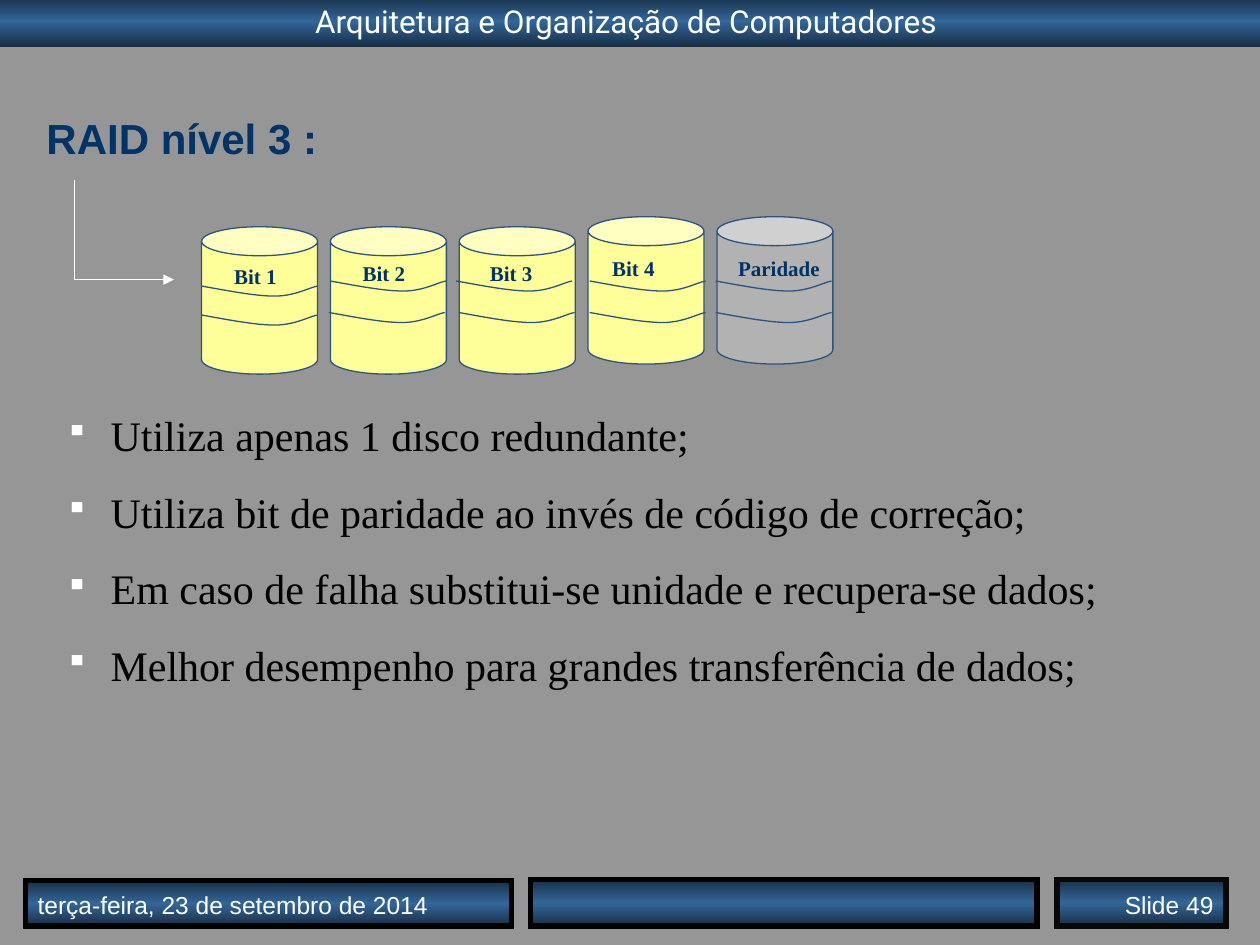
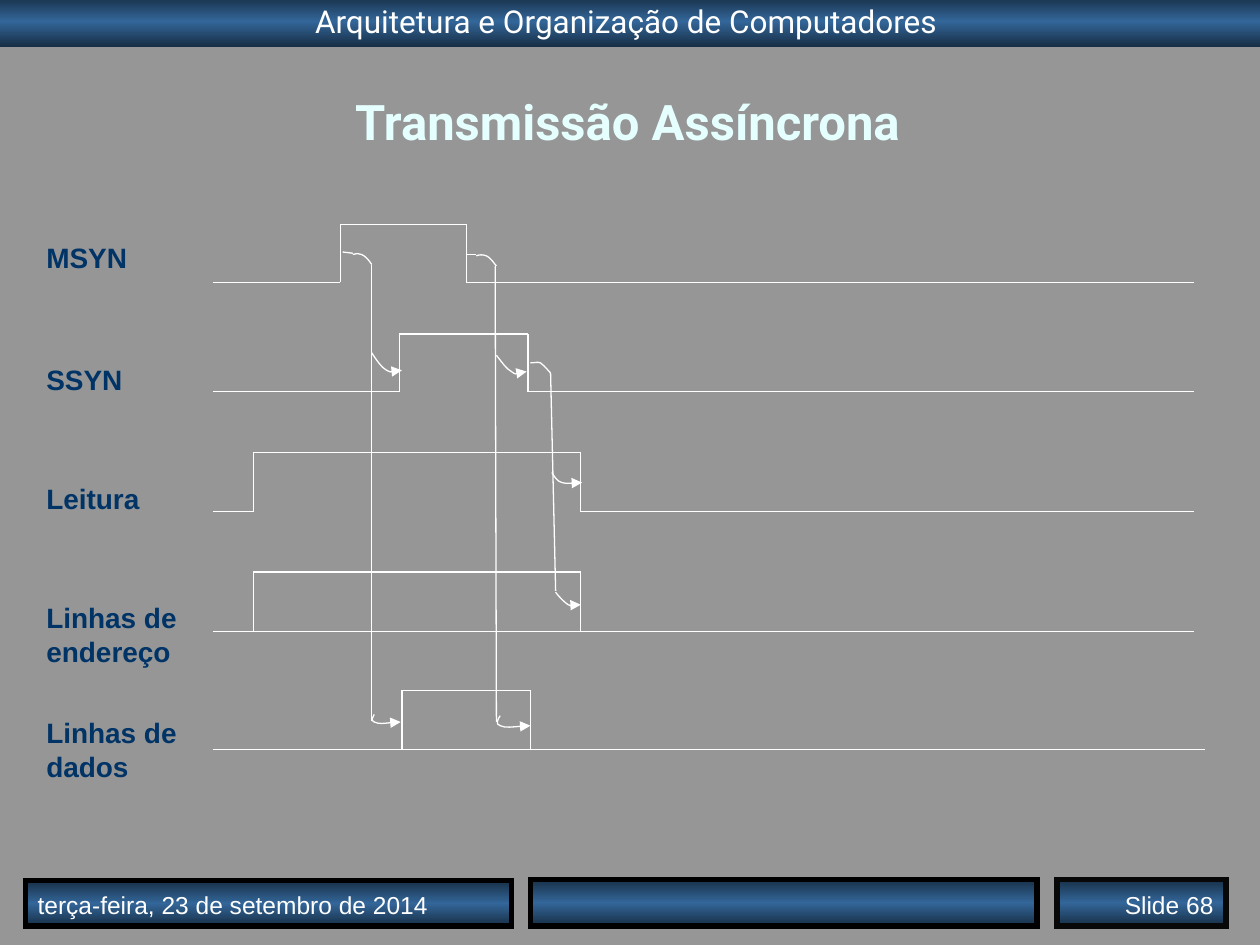
from copy import deepcopy

from lxml.etree import SubElement
from pptx import Presentation
from pptx.dml.color import RGBColor
from pptx.enum.shapes import MSO_CONNECTOR as Connector, MSO_SHAPE as Preset
from pptx.enum.text import MSO_ANCHOR as Anchor, PP_ALIGN as Align
from pptx.oxml.ns import qn
from pptx.util import Inches, Pt

# Shared style
COLORS = {
    "background": "969696", "band_edge": "172F46", "band_middle": "336699",
    "white": "FFFFFF", "black": "000000", "frame": "080808", "navy": "003366",
    "title": "E5FFFF", "disk": "FFFF99", "parity": "B2B2B2", "outline": "2B5481",
}
COURSE = "Arquitetura e Organização de Computadores"
DATE = "terça-feira, 23 de setembro de 2014"

# RAID slide: label, label left, label top, disk top, disk colour, stripe starts
RAID_TITLE = "RAID nível 3 :"
DISKS = [
    ("Bit 1", 1.76, 2.04, 1.80, "disk", [(1.60, 2.27), (1.60, 2.50)]),
    ("Bit 2", 2.78, 2.02, 1.80, "disk", [(2.62, 2.23), (2.61, 2.48)]),
    ("Bit 3", 3.79, 2.02, 1.80, "disk", [(3.62, 2.23), (3.64, 2.48)]),
    ("Bit 4", 4.76, 1.98, 1.72, "disk", [(4.68, 2.23), (4.68, 2.48)]),
    ("Paridade", 5.76, 1.98, 1.72, "parity", [(5.68, 2.23), (5.68, 2.48)]),
]
DISK_LEFT, DISK_RIGHTMOST, DISK_WIDTH, DISK_HEIGHT = 1.6, 5.69, 0.92, 1.17
STRIPE = [(0.22, 0.04), (0.43, 0.08), (0.58, 0.08),
          (0.74, 0.08), (0.86, 0.01), (0.92, 0)]
RAID_POINTS = [
    "Utiliza apenas 1 disco redundante;",
    "Utiliza bit de paridade ao invés de código de correção;",
    "Em caso de falha substitui-se unidade e recupera-se dados;",
    "Melhor desempenho para grandes transferência de dados;",
]
RAID_ARROW = [(0.59, 1.43), (0.59, 2.22), (1.38, 2.22)]

# Timing slide: label, label top, label width, high, low, rise, fall, resume, end
TIMING_TITLE = "Transmissão Assíncrona"
SIGNAL_START = 1.69
SIGNALS = [
    ("MSYN", 1.86, 0.94, 1.78, 2.24, 2.70, 3.70, 3.70, 9.48),
    ("SSYN", 2.83, 0.94, 2.65, 3.11, 3.17, 4.19, 4.19, 9.48),
    ("Leitura", 3.77, 0.94, 3.59, 4.06, 2.01, 4.61, 4.61, 9.48),
    ("Linhas de endereço", 4.72, 1.34, 4.54, 5.01, 2.01, 4.61, 2.01, 9.48),
    ("Linhas de dados", 5.63, 1.34, 5.48, 5.95, 3.19, 4.21, 3.19, 9.56),
]
CAUSE_LINES = [
    ((2.72, 2.00), (2.80, 2.01)), ((2.95, 2.10), (2.95, 5.72)),
    ((3.70, 2.02), (3.78, 2.02)), ((3.93, 2.11), (3.94, 5.73)),
    ((4.37, 2.96), (4.41, 4.69)),
]
# Start, then two Bézier pieces of control, control, end
BENDS = [
    [(2.80, 2.02), (2.82, 2.01), (2.85, 2.01), (2.87, 2.02),
     (2.90, 2.03), (2.94, 2.08), (2.95, 2.10)],
    [(3.78, 2.03), (3.81, 2.02), (3.83, 2.02), (3.86, 2.03),
     (3.89, 2.04), (3.93, 2.10), (3.94, 2.11)],
    [(4.21, 2.88), (4.24, 2.88), (4.27, 2.87), (4.29, 2.88),
     (4.32, 2.90), (4.36, 2.95), (4.37, 2.96)],
]
HOOKS = [
    [(2.95, 2.80), (2.99, 2.86), (3.03, 2.92), (3.07, 2.94),
     (3.11, 2.96), (3.17, 2.94), (3.19, 2.94)],
    [(2.97, 5.67), (2.96, 5.69), (2.94, 5.72), (2.97, 5.73),
     (3.01, 5.75), (3.14, 5.73), (3.18, 5.73)],
    [(3.94, 2.82), (3.98, 2.87), (4.02, 2.93), (4.06, 2.95),
     (4.10, 2.98), (4.16, 2.95), (4.18, 2.95)],
    [(3.97, 5.68), (3.95, 5.71), (3.93, 5.75), (3.97, 5.76),
     (4.01, 5.78), (4.17, 5.76), (4.21, 5.76)],
    [(4.38, 3.75), (4.40, 3.78), (4.42, 3.82), (4.46, 3.83),
     (4.50, 3.84), (4.59, 3.83), (4.62, 3.83)],
    [(4.41, 4.70), (4.44, 4.74), (4.48, 4.78), (4.51, 4.80),
     (4.54, 4.81), (4.59, 4.80), (4.61, 4.80)],
]


def color(name):
    return RGBColor.from_string(COLORS[name])


# Text
def add_bullet(paragraph):
    properties = paragraph._p.get_or_add_pPr()
    properties.set("marL", str(Inches(0.58)))
    properties.set("indent", str(Inches(-0.36)))
    bullet_color = SubElement(properties, qn("a:buClr"))
    SubElement(bullet_color, qn("a:srgbClr")).set("val", COLORS["white"])
    SubElement(properties, qn("a:buSzPct")).set("val", "75000")
    SubElement(properties, qn("a:buChar")).set("char", "▪")


def write(shape, text, size=14, font="Arial", ink="white", bold=False,
          align=Align.LEFT, anchor=Anchor.TOP, wrap=True, spacing=None,
          before=0, bullets=False):
    frame = shape.text_frame
    frame.word_wrap = wrap
    frame.vertical_anchor = anchor
    for index, line in enumerate([text] if isinstance(text, str) else text):
        paragraph = frame.add_paragraph() if index else frame.paragraphs[0]
        paragraph.alignment = align
        if spacing:
            paragraph.line_spacing = spacing
        if index:
            paragraph.space_before = Pt(before)
        if bullets:
            add_bullet(paragraph)
        run = paragraph.add_run()
        run.text = line
        run.font.size, run.font.name, run.font.bold = Pt(size), font, bold
        run.font.color.rgb = color(ink)


def add_text(slide, box, text, **style):
    write(slide.shapes.add_textbox(*map(Inches, box)), text, **style)


# Shapes and lines
def set_line(shape, ink, width=0.75, arrow=False):
    shape.line.color.rgb = color(ink)
    shape.line.width = Pt(width)
    line = shape._element.spPr.find(qn("a:ln"))
    SubElement(line, qn("a:miter")).set("lim", "800000")
    if arrow:
        SubElement(line, qn("a:tailEnd")).set("type", "triangle")


def add_line(shapes, start, end, arrow=False):
    connector = shapes.add_connector(
        Connector.STRAIGHT, *map(Inches, (*start, *end)))
    set_line(connector, "white", arrow=arrow)
    SubElement(connector._element.spPr, qn("a:effectLst"))


def add_curve(slide, points, ink="white", arrow=False):
    start, *rest = [tuple(map(Inches, point)) for point in points]
    builder = slide.shapes.build_freeform(*start)
    builder.add_line_segments(rest, close=False)
    curve = builder.convert_to_shape()
    # Every three straight steps become one Bézier piece
    outline = curve._element.spPr.find(".//" + qn("a:moveTo")).getparent()
    steps = outline.findall(qn("a:lnTo"))
    for first in range(0, len(steps), 3):
        piece = SubElement(outline, qn("a:cubicBezTo"))
        for step in steps[first:first + 3]:
            piece.append(step[0])
            outline.remove(step)
    curve.shadow.inherit = False
    curve.fill.background()
    set_line(curve, ink, arrow=arrow)


def add_band(slide, box, frame=None):
    band = slide.shapes.add_shape(Preset.RECTANGLE, *map(Inches, box))
    band.shadow.inherit = False
    band.fill.gradient()
    band.fill.gradient_angle = 90
    stops = band._element.spPr.find(".//" + qn("a:gsLst"))
    stops.insert(1, deepcopy(stops[0]))
    names = ("band_edge", "band_middle", "band_edge")
    for index, (stop, name) in enumerate(zip(band.fill.gradient_stops, names)):
        stop.position = index / 2
        stop.color.rgb = color(name)
    if frame:
        set_line(band, frame, 3)
    else:
        band.line.fill.background()
    return band


# Slides
def add_slide(presentation, number):
    slide = presentation.slides.add_slide(presentation.slide_layouts[6])
    header = add_band(slide, (0, -0.03, 10, 0.4))
    header.text_frame.margin_right = Inches(0.16)
    write(header, COURSE, size=18, font="Roboto", align=Align.CENTER)
    write(add_band(slide, (0.2, 6.99, 3.86, 0.36), "black"), DATE,
          anchor=Anchor.BOTTOM)
    add_band(slide, (4.21, 6.98, 4.02, 0.37), "black")
    write(add_band(slide, (8.39, 6.98, 1.34, 0.37), "frame"),
          f"Slide {number}", align=Align.RIGHT, anchor=Anchor.BOTTOM)
    return slide


def build_raid(presentation):
    slide = add_slide(presentation, 49)
    add_text(slide, (0.2, 3.2, 9.37, 3.13), RAID_POINTS, size=24,
             font="Times New Roman", ink="black", before=15, bullets=True)
    pitch = (DISK_RIGHTMOST - DISK_LEFT) / (len(DISKS) - 1)
    for index, (_, _, _, top, fill, _) in enumerate(DISKS):
        disk = slide.shapes.add_shape(Preset.CAN, *map(Inches, (
            DISK_LEFT + index * pitch, top, DISK_WIDTH, DISK_HEIGHT)))
        disk.shadow.inherit = False
        disk.fill.solid()
        disk.fill.fore_color.rgb = color(fill)
        set_line(disk, "outline")
    add_text(slide, (0.27, 0.84, 2.35, 0.5), RAID_TITLE, size=24,
             ink="navy", bold=True, wrap=False)
    for label, left, label_top, _, fill, stripes in DISKS:
        for x, y in stripes:
            add_curve(slide, [(x + dx, y + dy) for dx, dy in [(0, 0), *STRIPE]],
                      ink="outline")
        width = 0.58 if fill == "disk" else 0.89
        add_text(slide, (left, label_top, width, 0.3), label, size=12,
                 font="Times New Roman", ink="navy", bold=True, wrap=False)
    start, corner, tip = RAID_ARROW
    add_line(slide.shapes, start, corner)
    add_line(slide.shapes, corner, tip, arrow=True)


def build_timing(presentation):
    slide = add_slide(presentation, 68)
    add_text(slide, (0, 0.84, 9.96, 0.38), TIMING_TITLE, size=28, font="Roboto",
             ink="title", bold=True, align=Align.CENTER, spacing=0.6)
    for _, _, _, high, low, rise, fall, resume, end in SIGNALS:
        signal = slide.shapes.add_group_shape().shapes
        pulse = [(SIGNAL_START, low), (rise, low), (rise, high),
                 (fall, high), (fall, low)]
        for start, stop in zip(pulse, pulse[1:]):
            add_line(signal, start, stop)
        add_line(signal, (resume, low), (end, low))
    for label, top, width, *_ in SIGNALS:
        height = 0.64 if " " in label else 0.37
        add_text(slide, (0.27, top, width, height), label, size=16,
                 ink="navy", bold=True)
    for start, end in CAUSE_LINES:
        add_line(slide.shapes, start, end)
    for points in BENDS:
        add_curve(slide, points)
    for points in HOOKS:
        add_curve(slide, points, arrow=True)


def main():
    presentation = Presentation()
    presentation.slide_width, presentation.slide_height = Inches(10), Inches(7.5)
    background = presentation.slide_master.background.fill
    background.solid()
    background.fore_color.rgb = color("background")
    build_raid(presentation)
    build_timing(presentation)
    presentation.save("out.pptx")


if __name__ == "__main__":
    main()
